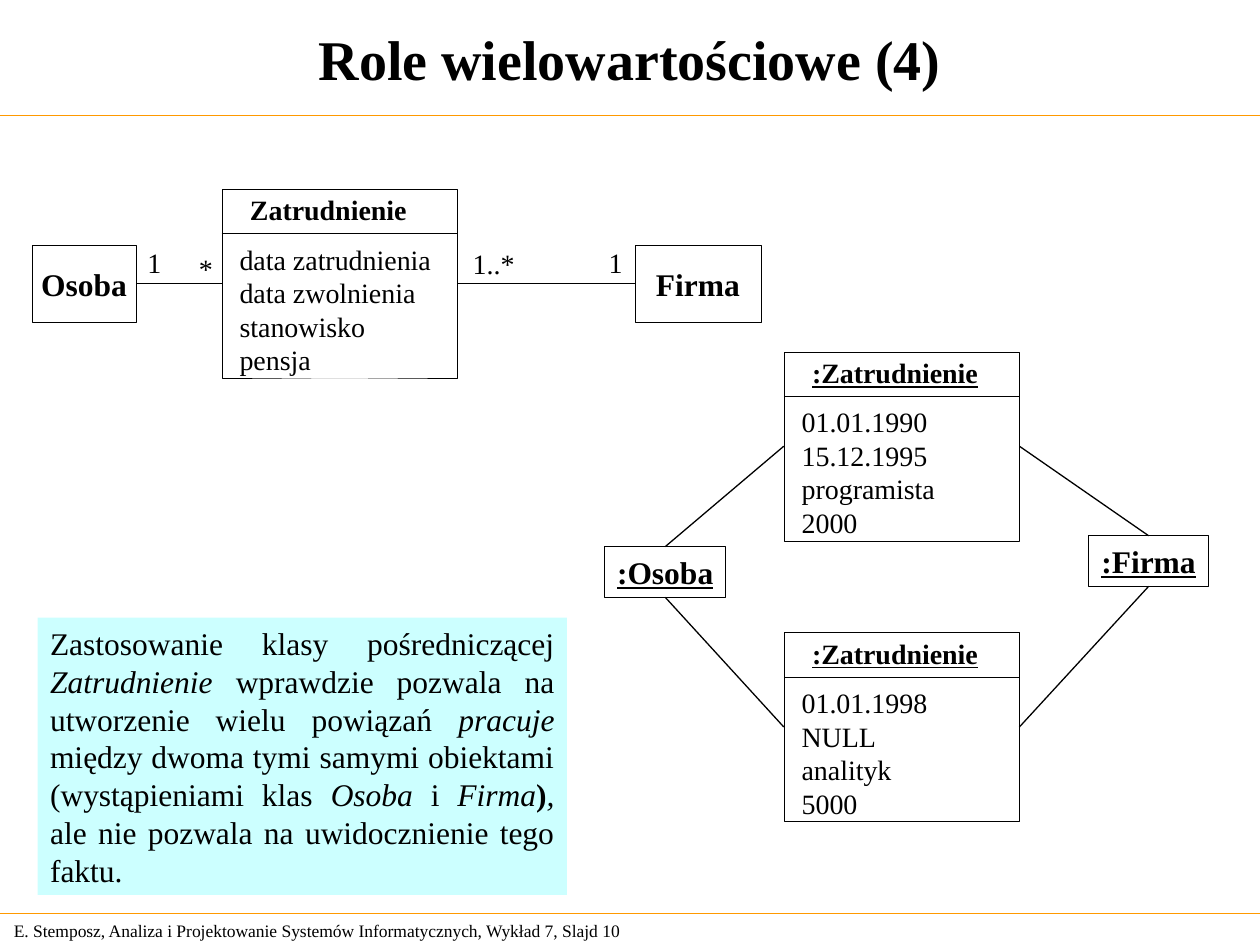
from lxml import etree
from pptx import Presentation
from pptx.dml.color import RGBColor
from pptx.enum.shapes import MSO_CONNECTOR, MSO_SHAPE
from pptx.enum.text import MSO_ANCHOR, PP_ALIGN
from pptx.oxml.ns import qn
from pptx.util import Cm, Pt

RECTANGLE = MSO_SHAPE.RECTANGLE
STRAIGHT = MSO_CONNECTOR.STRAIGHT
TOP, MIDDLE = MSO_ANCHOR.TOP, MSO_ANCHOR.MIDDLE
LEFT, CENTER, JUSTIFY = PP_ALIGN.LEFT, PP_ALIGN.CENTER, PP_ALIGN.JUSTIFY
TOP_SIDE, LEFT_SIDE, BOTTOM_SIDE, RIGHT_SIDE = range(4)

BLACK = RGBColor(0x00, 0x00, 0x00)
WHITE = RGBColor(0xFF, 0xFF, 0xFF)
ORANGE = RGBColor(0xFF, 0x99, 0x00)
PALE_CYAN = RGBColor(0xCC, 0xFF, 0xFF)
FONT = "Times New Roman"
HAIRLINE, THIN = 0.11, 0.75
INSETS = (0.25, 0.13)
NO_INSETS = (0, 0)

SLIDE_WIDTH, SLIDE_HEIGHT = 25.4, 19.05
TITLE = "Role wielowartościowe (4)"
FOOTER = "E. Stemposz, Analiza i Projektowanie Systemów Informatycznych, Wykład 7, Slajd 10"
RULE_HEIGHTS = (2.33, 18.42)

# key, heading, underlined, attributes, left, top
CLASS_SIZE = (4.75, 3.81)
CLASSES = [
    ("class", "Zatrudnienie", False,
     ["data zatrudnienia", "data zwolnienia", "stanowisko", "pensja"], 4.47, 3.81),
    ("first job", ":Zatrudnienie", True,
     ["01.01.1990", "15.12.1995", "programista", "2000"], 15.8, 7.09),
    ("second job", ":Zatrudnienie", True,
     ["01.01.1998", "NULL", "analityk", "5000"], 15.8, 12.75),
]
# key, underlined, fill, line width, box
NAMED_BOXES = [
    ("Osoba", False, WHITE, HAIRLINE, (0.64, 4.94, 2.11, 1.55)),
    ("Firma", False, WHITE, HAIRLINE, (12.8, 4.94, 2.54, 1.55)),
    (":Osoba", True, None, THIN, (12.19, 11.02, 2.44, 1.02)),
    (":Firma", True, None, THIN, (21.95, 10.8, 2.41, 1.02)),
]
LINKS = [
    ("Osoba", RIGHT_SIDE, "class", LEFT_SIDE),
    ("class", RIGHT_SIDE, "Firma", LEFT_SIDE),
    (":Osoba", TOP_SIDE, "first job", LEFT_SIDE),
    ("first job", RIGHT_SIDE, ":Firma", TOP_SIDE),
    (":Osoba", BOTTOM_SIDE, "second job", LEFT_SIDE),
    ("second job", RIGHT_SIDE, ":Firma", BOTTOM_SIDE),
]
MULTIPLICITIES = [
    ("1", (2.97, 4.96, 0.4, 0.69)),
    ("*", (4.01, 5.08, 0.4, 0.69)),
    ("1..*", (9.53, 4.98, 1.2, 0.69)),
    ("1", (12.27, 4.96, 0.4, 0.69)),
]
ITALIC, BOLD = {"italic": True}, {"bold": True}
COMMENT_BOX = (0.76, 12.45, 10.67, 5.59)
COMMENT = [
    ("Zastosowanie klasy pośredniczącej ", {}),
    ("Zatrudnienie ", ITALIC),
    ("wprawdzie pozwala na utworzenie wielu powiązań ", {}),
    ("pracuje ", ITALIC),
    ("między dwoma tymi samymi obiektami (wystąpieniami klas ", {}),
    ("Osoba ", ITALIC),
    ("i ", {}),
    ("Firma", ITALIC),
    (")", BOLD),
    (",", ITALIC),
    (" ale nie pozwala na uwidocznienie tego faktu.", {}),
]


def write(shape, paragraphs, size, align=LEFT, anchor=TOP, insets=NO_INSETS,
          wrap=False, **font_format):
    """Fill a shape with paragraphs, each a list of (text, font format) runs."""
    frame = shape.text_frame
    horizontal, vertical = map(Cm, insets)
    frame_format = {
        "word_wrap": wrap, "vertical_anchor": anchor,
        "margin_left": horizontal, "margin_right": horizontal,
        "margin_top": vertical, "margin_bottom": vertical,
    }
    for name, value in frame_format.items():
        setattr(frame, name, value)
    for index, runs in enumerate(paragraphs):
        paragraph = frame.add_paragraph() if index else frame.paragraphs[0]
        paragraph.alignment = align
        for text, run_format in runs:
            run = paragraph.add_run()
            run.text = text
            values = {"name": FONT, "size": Pt(size), **font_format, **run_format}
            for name, value in values.items():
                setattr(run.font, name, value)
            run.font.color.rgb = BLACK


def add_text(slide, box, lines, size, **options):
    shape = slide.shapes.add_textbox(*map(Cm, box))
    write(shape, [[(line, {})] for line in lines], size, **options)


def add_box(slide, box, fill, line_width=None):
    shape = slide.shapes.add_shape(RECTANGLE, *map(Cm, box))
    shape.shadow.inherit = False
    if fill is None:
        shape.fill.background()
    else:
        shape.fill.solid()
        shape.fill.fore_color.rgb = fill
    if line_width is None:
        shape.line.fill.background()
    else:
        shape.line.color.rgb = BLACK
        shape.line.width = Pt(line_width)
    return shape


def add_line(slide, start=(0, 0), end=(0, 0), color=BLACK, width=THIN):
    line = slide.shapes.add_connector(STRAIGHT, *map(Cm, start + end))
    line.line.color.rgb = color
    line.line.width = Pt(width)
    etree.SubElement(line._element.spPr, qn("a:effectLst"))
    return line


def add_class(slide, heading, underlined, attributes, left, top):
    width, height = CLASS_SIZE
    shape = add_box(slide, (left, top, width, height), WHITE, HAIRLINE)
    divider = top + 0.89
    add_line(slide, (left, divider), (left + width, divider), width=HAIRLINE)
    add_text(slide, (left + 0.57, top + 0.08, 3.6, 0.69), [heading], 16,
             bold=True, underline=underlined)
    add_text(slide, (left + 0.36, top + 1.07, 4.1, 2.72), attributes, 16)
    return shape


def main():
    presentation = Presentation()
    presentation.slide_width = Cm(SLIDE_WIDTH)
    presentation.slide_height = Cm(SLIDE_HEIGHT)
    slide = presentation.slides.add_slide(presentation.slide_layouts[5])

    title = slide.shapes.title
    title.left, title.top, title.width, title.height = map(
        Cm, (0, 0, SLIDE_WIDTH, RULE_HEIGHTS[0]))
    write(title, [[(TITLE, {})]], 32, align=CENTER, anchor=MIDDLE,
          insets=INSETS, wrap=True, bold=True)

    for height in RULE_HEIGHTS:
        add_line(slide, (0, height), (SLIDE_WIDTH, height), color=ORANGE)
    add_text(slide, (0.03, 18.42, 13.31, 0.69), [FOOTER], 10,
             anchor=MIDDLE, insets=INSETS)

    boxes = {}
    for key, *details in CLASSES:
        boxes[key] = add_class(slide, *details)
    for key, underlined, fill, line_width, box in NAMED_BOXES:
        boxes[key] = add_box(slide, box, fill, line_width)
        write(boxes[key], [[(key, {})]], 18, align=CENTER, anchor=MIDDLE,
              bold=True, underline=underlined)
    for start, start_side, end, end_side in LINKS:
        link = add_line(slide)
        link.begin_connect(boxes[start], start_side)
        link.end_connect(boxes[end], end_side)
    for text, box in MULTIPLICITIES:
        add_text(slide, box, [text], 16)

    comment = add_box(slide, COMMENT_BOX, PALE_CYAN)
    write(comment, [COMMENT], 18, align=JUSTIFY, insets=INSETS, wrap=True)
    presentation.save("out.pptx")


if __name__ == "__main__":
    main()
